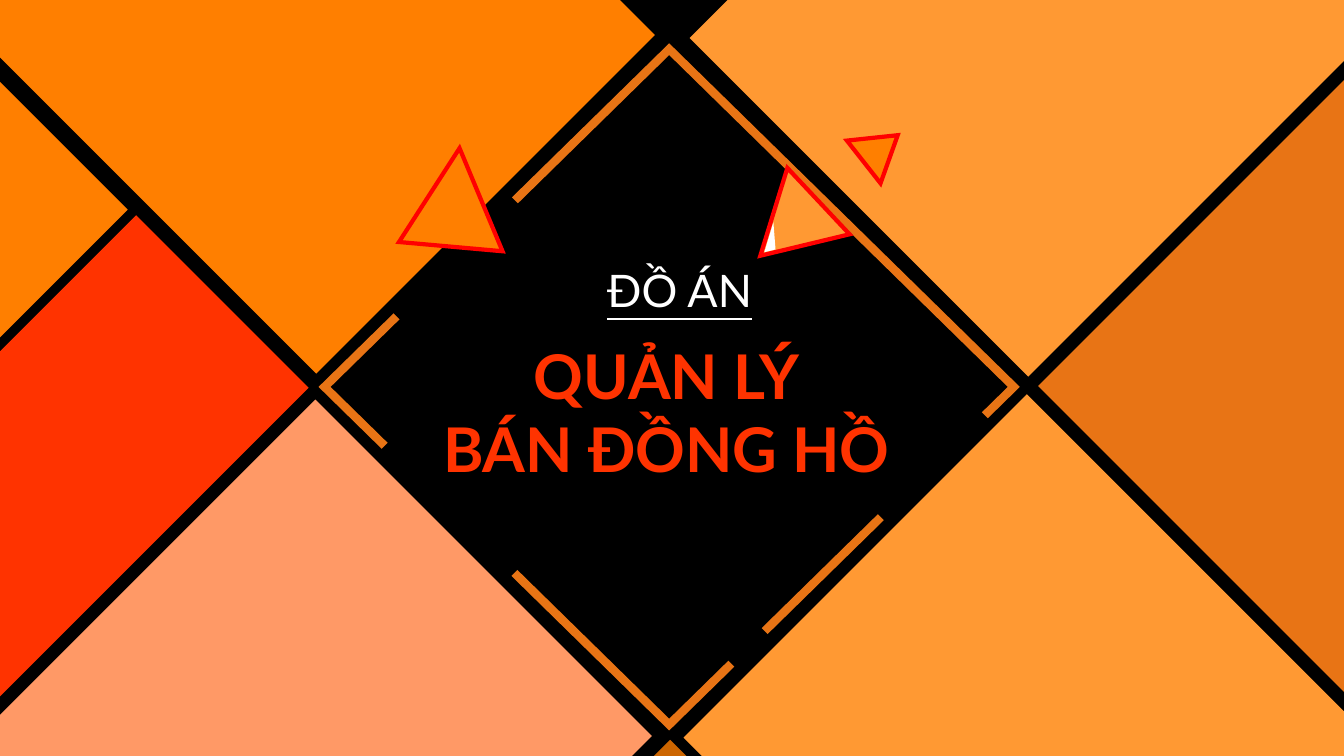
from dataclasses import dataclass

from lxml import etree
from pptx import Presentation
from pptx import util as u
from pptx.dml.color import RGBColor
from pptx.enum import shapes, text
from pptx.oxml.ns import qn


@dataclass(frozen=True)
class Theme:
    black: str = "000000"
    white: str = "FFFFFF"
    orange: str = "FF7F00"
    amber: str = "FF9933"
    rust: str = "E87415"
    peach: str = "FF9966"
    scarlet: str = "FF3300"
    red: str = "FF0000"
    font: str = "Lato"
    title: int = 44
    label: int = 32
    frame: int = 6
    edge: int = 3


T = Theme()
KIND = shapes.MSO_SHAPE


def rgb(code):
    return RGBColor.from_string(code)


def draw(slide, kind, box, fill=None, turn=0, line=None, width=0):
    """Add a preset shape; box is left, top, width, height in cm."""
    shape = slide.shapes.add_shape(kind, *map(u.Cm, box))
    shape.shadow.inherit = False
    shape.rotation = turn
    if fill:
        shape.fill.solid()
        shape.fill.fore_color.rgb = rgb(fill)
    else:
        shape.fill.background()
    if line:
        shape.line.color.rgb = rgb(line)
        shape.line.width = u.Pt(width)
        # Sharp corners
        ln = shape.line._get_or_add_ln()
        etree.SubElement(ln, qn("a:miter"), lim="800000")
    else:
        shape.line.fill.background()
    return shape


def tile(slide, fill, *box):
    return draw(slide, KIND.RECTANGLE, box, fill, 45)


def spike(slide, fill, turn, *box):
    return draw(slide, KIND.ISOSCELES_TRIANGLE, box, fill, turn, T.red, T.edge)


def fade(shape, share):
    color = shape.fill._xPr.find(qn("a:solidFill"))[0]
    etree.SubElement(color, qn("a:alpha"), val=str(share * 1000))


def write(slide, words, box, size, color, bold=False, under=False):
    frame = slide.shapes.add_textbox(*map(u.Cm, box)).text_frame
    frame.word_wrap = True
    frame.auto_size = text.MSO_AUTO_SIZE.SHAPE_TO_FIT_TEXT
    frame.text = words
    for para in frame.paragraphs:
        para.alignment = text.PP_ALIGN.CENTER
        for run in para.runs:
            font = run.font
            font.name, font.size = T.font, u.Pt(size)
            font.bold, font.underline = bold, under
            font.color.rgb = rgb(color)


def main():
    deck = Presentation()
    deck.slide_width, deck.slide_height = u.Cm(33.87), u.Cm(19.05)
    slide = deck.slides.add_slide(deck.slide_layouts[6])
    back = slide.background.fill
    back.solid()
    back.fore_color.rgb = rgb(T.black)

    # Diamond frame, with gaps cut by black tiles
    draw(slide, KIND.DIAMOND, (8.18, 1.24, 17.37, 17.02),
         line=T.rust, width=T.frame)
    tile(slide, T.black, 9.55, 4.42, 3.86, 4.17)
    tile(slide, T.black, 9.22, 11.02, 4.57, 3.28)
    tile(slide, T.black, 21.69, 10.03, 3.86, 3.66)
    tile(slide, T.black, 16.81, 15.62, 3.86, 1.17)

    # Coloured tiles around the frame
    tile(slide, T.amber, 19.76, 12.47, 12.24, 12.24)
    tile(slide, T.peach, 1.83, 12.5, 11.99, 12.34)
    tile(slide, T.scarlet, -1.52, 5.92, 6.15, 11.46)
    tile(slide, T.orange, -2.49, 2.92, 4.7, 4.8)
    fade(tile(slide, T.orange, 15.47, 19.23, 2.84, 2.84), 80)
    tile(slide, T.orange, 1.55, -5.31, 12.52, 12.07)
    tile(slide, T.amber, 20.09, -5.59, 12.07, 12.67)
    tile(slide, T.rust, 28.52, 4.04, 10.95, 11.2)

    # Title
    write(slide, "QUẢN LÝ\nBÁN ĐỒNG HỒ", (9.22, 8.38, 15.16, 4.01),
          T.title, T.scarlet, bold=True)

    # Triangles
    spike(slide, T.orange, 5.1, 10.16, 3.73, 2.62, 2.49)
    spike(slide, T.amber, 226.8, 18.75, 4.75, 2.29, 2.01)
    glint = draw(slide, KIND.ISOSCELES_TRIANGLE, (19.1, 5.89, 0.79, 0.25),
                 T.white, 106.9)
    glint.adjustments[0] = 0.81
    spike(slide, T.orange, 51.8, 21.51, 3.2, 1.37, 1.09)

    # Label above the title
    write(slide, "ĐỒ ÁN", (9.55, 6.5, 15.16, 1.63),
          T.label, T.white, under=True)

    deck.save("out.pptx")


if __name__ == "__main__":
    main()
